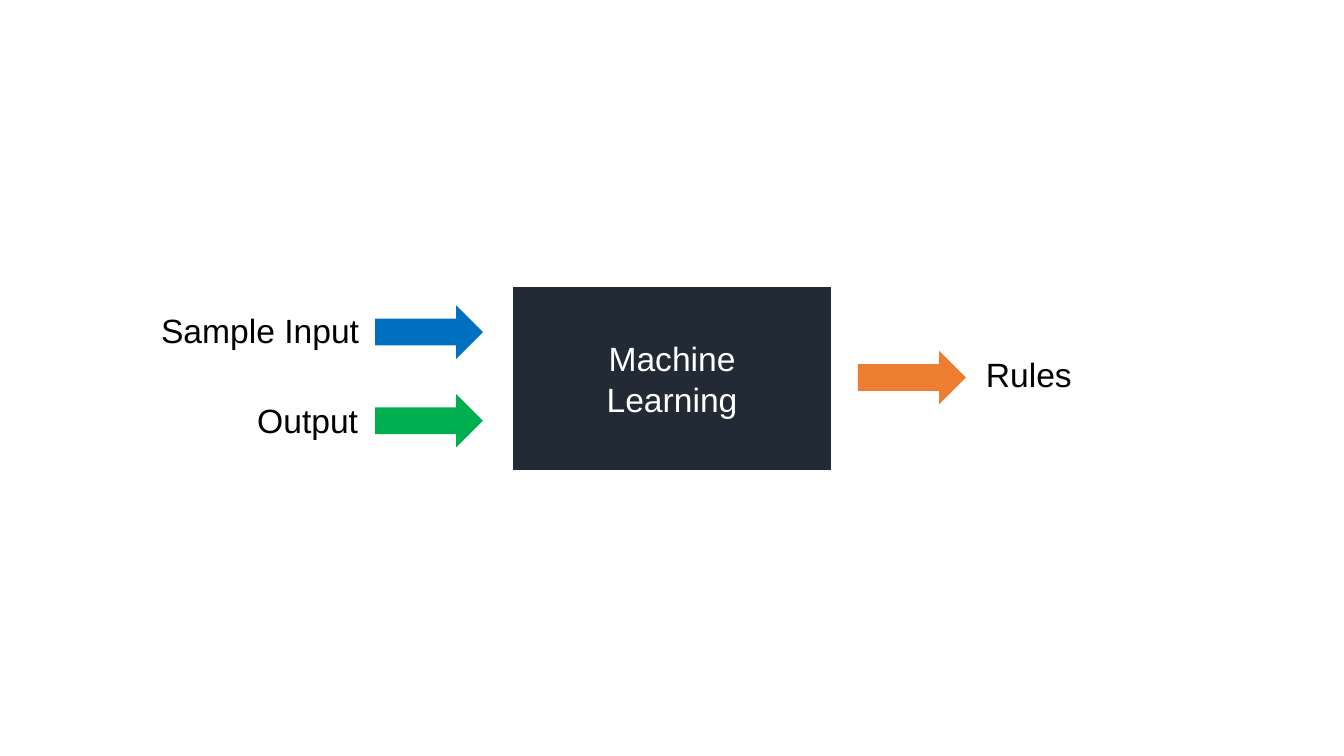
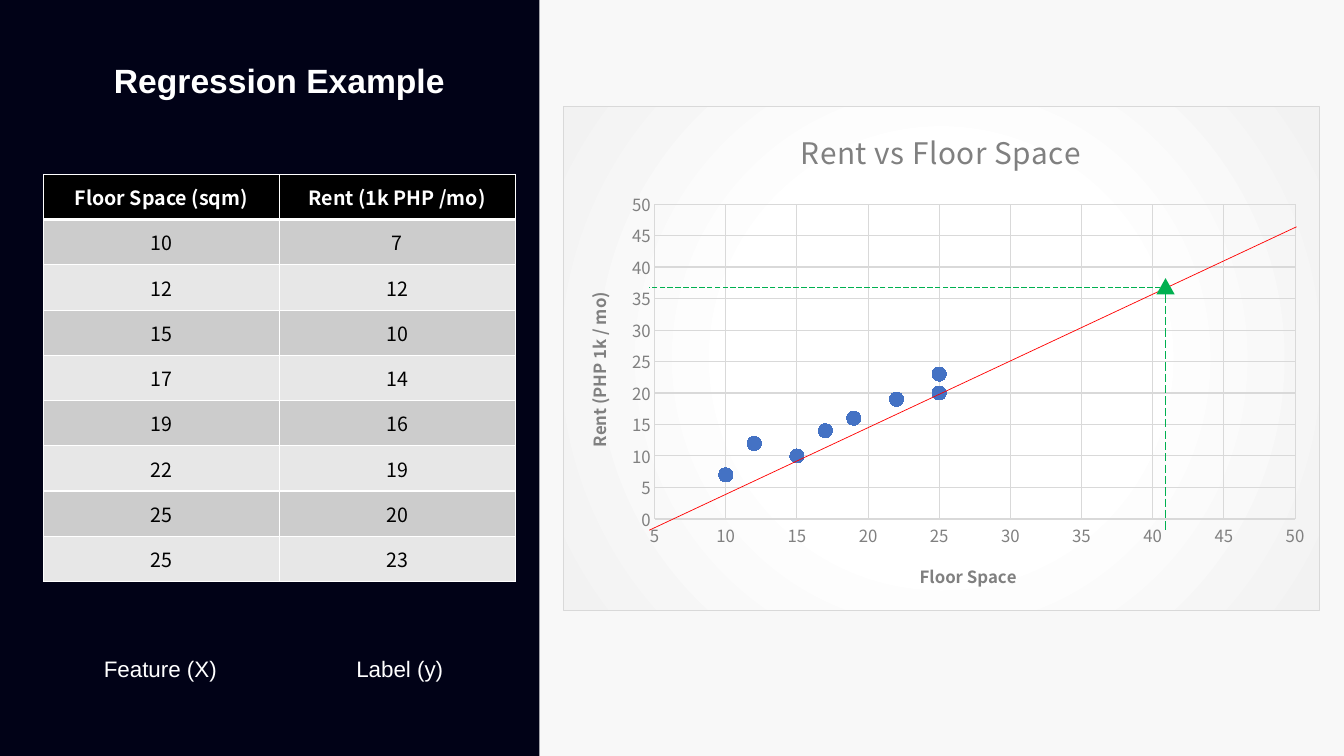
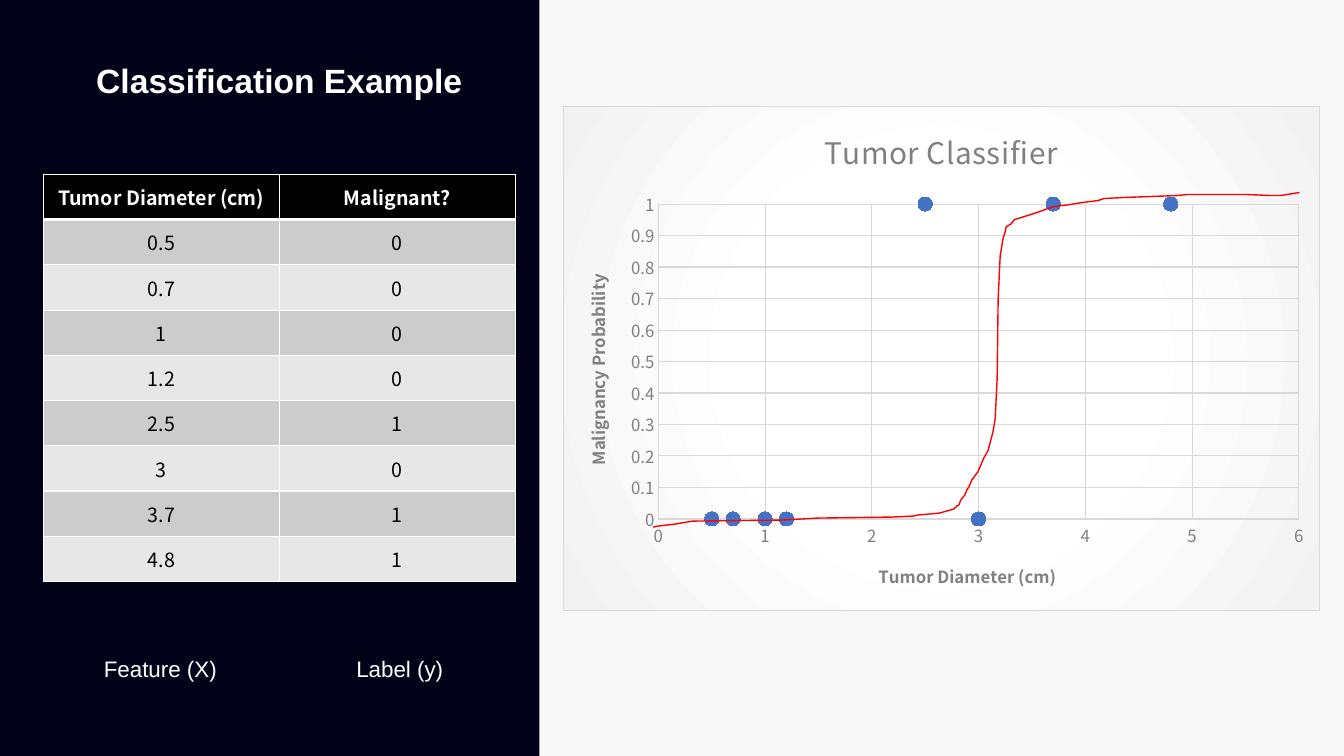
from dataclasses import dataclass
from lxml import etree
from pptx import Presentation, util as u
from pptx.chart.data import XyChartData
from pptx.dml.color import RGBColor
from pptx.enum import chart as ch, dml, shapes, text
from pptx.oxml import parse_xml
from pptx.oxml.ns import nsdecls, qn

PX = 9144
SHAPE, ALIGN = shapes.MSO_SHAPE, text.PP_ALIGN


@dataclass(frozen=True)
class Theme:
    """Colours, fonts and type sizes of the deck."""
    white: str = "FFFFFF"
    black: str = "000000"
    night: str = "010217"
    panel: str = "F8F8F8"
    slate: str = "222A35"
    blue: str = "0070C0"
    green: str = "00B050"
    orange: str = "ED7D31"
    red: str = "FF0000"
    dot: str = "4472C4"
    gray: str = "808080"
    grid: str = "D9D9D9"
    edge: str = "F2F2F2"
    bands: tuple = ("CCCCCC", "E7E7E7")
    sans: str = "Arial"
    data: str = "Noto Sans CJK JP"
    head: float = 24
    note: float = 16
    cell: float = 14
    tick: float = 12
    name: float = 21.3


T = Theme()

BOX = ("Machine", "Learning"), (509, 285, 315, 181)
FLOWS = [
    ("Sample Input", (147, 303, 219, 50), ALIGN.RIGHT, (372, 303), T.blue),
    ("Output", (244, 392, 121, 50), ALIGN.RIGHT, (372, 391), T.green),
    ("Rules", (968, 346, 106, 50), ALIGN.LEFT, (851, 348), T.orange),
]
ARROW = 107, 53
ROLES = [("Feature (X)", (92, 645, 134, 37)), ("Label (y)", (343, 645, 107, 37))]
PANEL = 535, 0, 798, 750
TITLE = 43, 54, 468, 50
TABLE = 43, 173, 468, 404
CHART = 558, 105, 751, 501

RENT = {
    "title": "Regression Example",
    "heads": ("Floor Space (sqm)", "Rent (1k PHP /mo)"),
    "rows": [(10, 7), (12, 12), (15, 10), (17, 14),
             (19, 16), (22, 19), (25, 20), (25, 23)],
    "chart": "Rent vs Floor Space",
    "axes": [("Floor Space", 5, 50, 5), ("Rent (PHP 1k / mo)", 0, 50, 5)],
    "plot": (649, 202, 636, 313),
}
TUMOR = {
    "title": "Classification Example",
    "heads": ("Tumor Diameter (cm)", "Malignant?"),
    "rows": [(0.5, 0), (0.7, 0), (1, 0), (1.2, 0),
             (2.5, 1), (3, 0), (3.7, 1), (4.8, 1)],
    "chart": "Tumor Classifier",
    "axes": [("Tumor Diameter (cm)", 0, 6, 1), ("Malignancy Probability", 0, 1, 0.1)],
    "plot": (653, 202, 636, 313),
}
FIT = (644, 526), (1286, 225)
GUESS = 1147, 276, 18, 16
DROPS = [((1156, 292), (1156, 526), 0.75), ((1151, 285), (644, 285), 0.5)]
CURVE = [
    (648, 523), (652, 522), (669, 520), (687, 517), (774, 516), (794, 515),
    (810, 514), (885, 513), (906, 512), (910, 511), (932, 509), (939, 507),
    (946, 505), (949, 502), (951, 501), (953, 496), (957, 491), (959, 486),
    (961, 483), (964, 476), (970, 468), (976, 454), (980, 447), (985, 428),
    (987, 416), (989, 376), (990, 297), (992, 254), (995, 236), (997, 230),
    (998, 225), (1003, 222), (1006, 218), (1022, 213), (1031, 210), (1039, 207),
    (1045, 205), (1061, 203), (1073, 201), (1089, 199), (1095, 197), (1113, 196),
    (1168, 194), (1178, 193), (1237, 193), (1260, 194), (1270, 194), (1289, 191),
]


def emu(box):
    """Turn px lengths into EMU."""
    return [n * PX for n in box]


def rgb(tone):
    """Make a colour from its hex digits."""
    return RGBColor.from_string(tone)


def style(para, size, tone, face, bold=False):
    """Set the font of a paragraph."""
    font = para.font
    font.size, font.name, font.bold = u.Pt(size), face, bold
    font.color.rgb = rgb(tone)


def write(frame, lines, size, tone, align, bold=False, face=T.sans):
    """Fill a text frame with one paragraph per line."""
    frame.text = "\n".join(lines)
    for para in frame.paragraphs:
        para.alignment = align
        style(para, size, tone, face, bold)


def label(slide, line, box, size, tone, align=ALIGN.CENTER):
    """Add a line of text that does not wrap."""
    frame = slide.shapes.add_textbox(*emu(box)).text_frame
    frame.word_wrap = False
    frame.auto_size = text.MSO_AUTO_SIZE.SHAPE_TO_FIT_TEXT
    write(frame, [line], size, tone, align)


def block(slide, kind, box, tone):
    """Add a plain filled shape."""
    shape = slide.shapes.add_shape(kind, *emu(box))
    shape.shadow.inherit = False
    shape.fill.solid()
    shape.fill.fore_color.rgb = rgb(tone)
    shape.line.fill.background()
    return shape


def stroke(line, tone, width):
    """Set the colour and width of a line."""
    line.color.rgb, line.width = rgb(tone), u.Pt(width)


def rule(slide, start, end, tone, width, dash=None):
    """Add a straight line."""
    line = slide.shapes.add_connector(
        shapes.MSO_CONNECTOR.STRAIGHT, *emu(start + end))
    stroke(line.line, tone, width)
    line.line.dash_style = dash
    etree.SubElement(line._element.spPr, qn("a:effectLst"))


def trace(slide, dots):
    """Draw an open curve through points."""
    pen = slide.shapes.build_freeform(*dots[0], scale=PX)
    pen.add_line_segments(dots[1:], close=False)
    curve = pen.convert_to_shape()
    curve.shadow.inherit = False
    curve.fill.background()
    stroke(curve.line, T.red, 1)


def border(cell, base):
    """Draw white borders round a cell."""
    prop = cell._tc.get_or_add_tcPr()
    for spot, side in enumerate("LRTB"):
        wide = base if side == "B" else 1
        prop.insert(spot, parse_xml(
            f'<a:ln{side} {nsdecls("a")} w="{wide * 12700}"><a:solidFill>'
            f'<a:srgbClr val="{T.white}"/></a:solidFill></a:ln{side}>'))


def table(slide, heads, rows):
    """Add the banded data table."""
    grid = [heads, *rows]
    made = slide.shapes.add_table(len(grid), len(heads), *emu(TABLE)).table
    for r, row in enumerate(grid):
        for c, value in enumerate(row):
            cell = made.cell(r, c)
            cell.vertical_anchor = text.MSO_ANCHOR.MIDDLE
            cell.fill.solid()
            cell.fill.fore_color.rgb = rgb(T.bands[(r - 1) % 2] if r else T.black)
            border(cell, 1 if r else 3)
            write(cell.text_frame, [str(value)], T.cell,
                  T.black if r else T.white, ALIGN.CENTER, not r, T.data)


def scale(axis, name, low, high, step):
    """Format one chart axis."""
    axis.minimum_scale, axis.maximum_scale, axis.major_unit = low, high, step
    axis.major_tick_mark = axis.minor_tick_mark = ch.XL_TICK_MARK.NONE
    axis.has_major_gridlines = True
    stroke(axis.major_gridlines.format.line, T.grid, 0.75)
    axis.format.line.fill.background()
    font = axis.tick_labels.font
    font.size, font.name, font.color.rgb = u.Pt(T.tick), T.data, rgb(T.gray)
    write(axis.axis_title.text_frame, [name], T.tick, T.gray,
          ALIGN.CENTER, True, T.data)


def frame(chart, plot):
    """Place the plot area and shade the chart area."""
    left, top, wide, high = CHART
    x, y, w, h = plot
    parts = zip("xywh", ((x - left) / wide, (y - top) / high, w / wide, h / high))
    marks = "".join(f'<c:{k} val="{v:.3f}"/>' for k, v in parts)
    space = chart._chartSpace
    area = space.find(".//" + qn("c:plotArea"))
    for old in area.findall(qn("c:layout")):
        area.remove(old)
    area.insert(0, parse_xml(
        f'<c:layout {nsdecls("c")}><c:manualLayout><c:layoutTarget val="inner"/>'
        f'<c:xMode val="edge"/><c:yMode val="edge"/>{marks}'
        '</c:manualLayout></c:layout>'))
    space.find(qn("c:chart")).addnext(parse_xml(
        f'<c:spPr {nsdecls("c", "a")}><a:gradFill><a:gsLst>'
        f'<a:gs pos="43000"><a:srgbClr val="{T.white}"/></a:gs>'
        f'<a:gs pos="100000"><a:srgbClr val="{T.edge}"/></a:gs></a:gsLst>'
        '<a:path path="circle"><a:fillToRect l="50000" t="50000" r="50000" b="50000"/>'
        f'</a:path></a:gradFill><a:ln w="9525"><a:solidFill><a:srgbClr val="{T.grid}"/>'
        '</a:solidFill></a:ln></c:spPr>'))


def scatter(slide, topic):
    """Add the scatter chart."""
    data = XyChartData()
    points = data.add_series("Series 1")
    for x, y in topic["rows"]:
        points.add_data_point(x, y)
    chart = slide.shapes.add_chart(
        ch.XL_CHART_TYPE.XY_SCATTER, *emu(CHART), data).chart
    chart.has_legend = False
    chart.font.size, chart.font.name = u.Pt(10), T.data
    chart.plots[0].vary_by_categories = False
    name = chart.chart_title.text_frame
    write(name, [topic["chart"]], T.name, T.gray, ALIGN.CENTER, face=T.data)
    name.paragraphs[0].font._element.set("spc", "50")
    axes = chart.category_axis, chart.value_axis
    for axis, part in zip(axes, topic["axes"]):
        scale(axis, *part)
    axes[1].axis_title.text_frame._txBody.bodyPr.set("rot", "-5400000")
    row = chart.plots[0].series[0]
    row.smooth = False
    row.format.line.fill.background()
    row.marker.style, row.marker.size = ch.XL_MARKER_STYLE.CIRCLE, 10
    look = row.marker.format
    look.fill.solid()
    look.fill.fore_color.rgb = rgb(T.dot)
    stroke(look.line, T.dot, 0.75)
    frame(chart, topic["plot"])


def start(deck, layout, tone):
    """Add a slide with a plain background."""
    slide = deck.slides.add_slide(deck.slide_layouts[layout])
    slide.background.fill.solid()
    slide.background.fill.fore_color.rgb = rgb(tone)
    return slide


def flow(deck):
    """Build the slide of inputs, process and result."""
    slide = start(deck, 6, T.white)
    lines, box = BOX
    shape = block(slide, SHAPE.FLOWCHART_PROCESS, box, T.slate)
    write(shape.text_frame, lines, T.head, T.white, ALIGN.CENTER)
    for line, box, align, spot, tone in FLOWS:
        label(slide, line, box, T.head, T.black, align)
        block(slide, SHAPE.RIGHT_ARROW, spot + ARROW, tone)


def example(deck, topic):
    """Build a slide with a table beside its chart."""
    slide = start(deck, 5, T.night)
    title = slide.shapes.title
    title.left, title.top, title.width, title.height = emu(TITLE)
    title.text_frame.vertical_anchor = text.MSO_ANCHOR.MIDDLE
    write(title.text_frame, [topic["title"]], T.head, T.white, ALIGN.CENTER, True)
    block(slide, SHAPE.RECTANGLE, PANEL, T.panel)
    table(slide, topic["heads"], topic["rows"])
    scatter(slide, topic)
    for line, box in ROLES:
        label(slide, line, box, T.note, T.white)
    return slide


def main():
    """Build and save the deck."""
    deck = Presentation()
    deck.slide_width, deck.slide_height = emu((1333, 750))
    flow(deck)
    rent = example(deck, RENT)
    rule(rent, *FIT, T.red, 0.5)
    block(rent, SHAPE.ISOSCELES_TRIANGLE, GUESS, T.green)
    for head, tail, width in DROPS:
        rule(rent, head, tail, T.green, width, dml.MSO_LINE.LONG_DASH)
    trace(example(deck, TUMOR), CURVE)
    deck.save("out.pptx")


if __name__ == "__main__":
    main()
